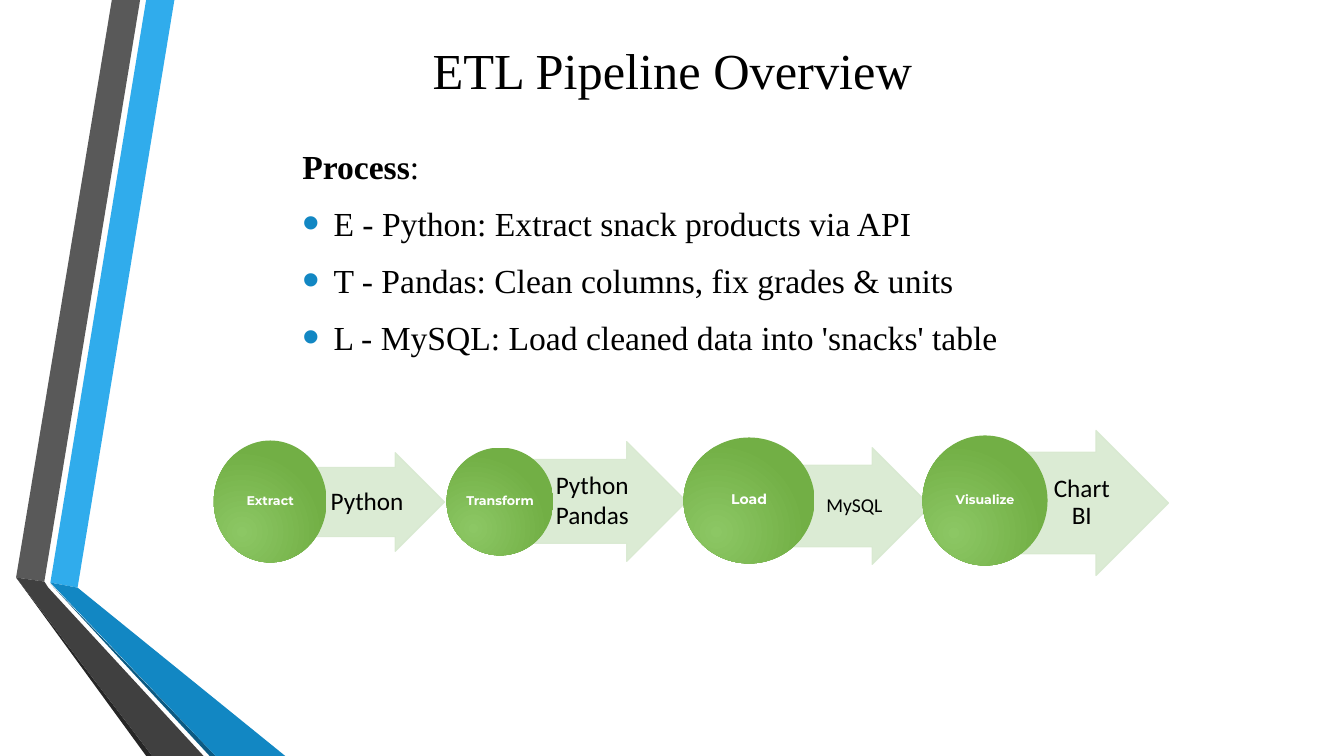
from lxml import etree
from pptx import Presentation
from pptx import util as u
from pptx.dml.color import RGBColor
from pptx.enum import shapes, text
from pptx.oxml.ns import qn

SERIF = "Times New Roman"
RIBBON = [
    ("30ACEC", [(0.5, 5.78), (0.77, 5.83), (1.73, 0), (1.45, 0)]),
    ("595959", [(1.39, 0), (1.11, 0), (0.16, 5.73), (0.44, 5.77)]),
    ("262626", [(0.16, 5.73), (1.45, 7.5), (1.51, 7.5)]),
    ("0C5A82", [(0.5, 5.79), (2.08, 7.5), (2.14, 7.5)]),
    ("1287C3", [(0.5, 5.78), (2.14, 7.5), (2.83, 7.5), (0.77, 5.83)]),
    ("404040", [(2.02, 7.5), (0.48, 5.83), (0.44, 5.77), (0.16, 5.73), (1.51, 7.5)]),
]
PROCESS = [
    "E - Python: Extract snack products via API",
    "T - Pandas: Clean columns, fix grades & units",
    "L - MySQL: Load cleaned data into 'snacks' table",
]
STAGES = [
    {"step": "Extract", "size": 9, "circle": (0, 0.1, 1.12, 1.21),
     "tools": ["Python"], "tool_size": 18, "arrow": (0.67, 0.22, 1.62, 0.98)},
    {"step": "Transform", "size": 9, "circle": (2.31, 0.17, 1.06, 1.07),
     "tools": ["Python", "Pandas"], "tool_size": 18, "arrow": (2.64, 0.11, 2.05, 1.19)},
    {"step": "Load", "size": 10, "circle": (4.66, 0.07, 1.3, 1.25),
     "tools": ["MySQL"], "tool_size": 14, "arrow": (5.61, 0.17, 1.5, 1.16)},
    {"step": "Visualize", "size": 9, "circle": (7.03, 0.05, 1.24, 1.29),
     "tools": ["Chart BI"], "tool_size": 18, "arrow": (7.82, 0, 1.65, 1.44)},
]


def rgb(value):
    return RGBColor.from_string(value)


def inches(box):
    return [u.Inches(length) for length in box]


def assign(target, values):
    for key, value in values.items():
        setattr(target, key, value)


def style(font, name, size, color="000000", bold=False):
    assign(font, {"name": name, "size": u.Pt(size), "bold": bold})
    font.color.rgb = rgb(color)


def set_frame(frame, left, top, right, bottom):
    assign(frame, {
        "word_wrap": True,
        "vertical_anchor": text.MSO_ANCHOR.MIDDLE,
        "margin_left": u.Inches(left), "margin_top": u.Inches(top),
        "margin_right": u.Inches(right), "margin_bottom": u.Inches(bottom),
    })


def add_bullet(paragraph, color, percent, indent):
    props = paragraph._p.get_or_add_pPr()
    props.set("marL", str(u.Inches(indent)))
    props.set("indent", str(-u.Inches(indent)))
    tint = etree.SubElement(props, qn("a:buClr"))
    etree.SubElement(tint, qn("a:srgbClr"), val=color)
    etree.SubElement(props, qn("a:buSzPct"), val=str(percent * 1000))
    etree.SubElement(props, qn("a:buFont"), typeface="Arial")
    etree.SubElement(props, qn("a:buChar"), char="•")


def draw_ribbon(slide, left, top):
    for color, corners in RIBBON:
        points = [inches((left + x, top + y)) for x, y in corners]
        builder = slide.shapes.build_freeform(*points[0])
        builder.add_line_segments(points[1:], close=True)
        band = builder.convert_to_shape()
        band.shadow.inherit = False
        band.fill.solid()
        band.fill.fore_color.rgb = rgb(color)
        band.line.fill.background()


def write_title(slide, box):
    title = slide.shapes.title
    assign(title, dict(zip(("left", "top", "width", "height"), inches(box))))
    title.text_frame.text = "ETL Pipeline Overview"
    set_frame(title.text_frame, 0.1, 0.05, 0.1, 0.05)
    heading = title.text_frame.paragraphs[0]
    heading.alignment = text.PP_ALIGN.CENTER
    style(heading.runs[0].font, SERIF, 36)


def write_process(slide, box):
    frame = slide.shapes.add_textbox(*inches(box)).text_frame
    set_frame(frame, 0.1, 0.05, 0.1, 0.05)
    heading = frame.paragraphs[0]
    for wording, bold in (("Process", True), (":", False)):
        run = heading.add_run()
        run.text = wording
        style(run.font, SERIF, 24, bold=bold)
    for step in PROCESS:
        item = frame.add_paragraph()
        item.space_before = u.Pt(12)
        add_bullet(item, "1287C3", 145, 0.31)
        run = item.add_run()
        run.text = step
        style(run.font, SERIF, 24)


def draw_arrow(slide, box):
    arrow = slide.shapes.add_shape(shapes.MSO_SHAPE.RIGHT_ARROW, *inches(box))
    arrow.shadow.inherit = False
    arrow.adjustments[0] = 0.7
    arrow.adjustments[1] = 0.5
    arrow.line.width = u.Pt(0.75)
    for fill in (arrow.fill, arrow.line.fill):
        fill.solid()
        fill.fore_color.rgb = rgb("D8E9D0")
    for color in arrow._element.spPr.iter(qn("a:srgbClr")):
        etree.SubElement(color, qn("a:alpha"), val="90000")


def write_tools(slide, arrow_box, tools, size):
    x, y, width, height = arrow_box
    label_box = (x + width / 4, y + 0.15 * height,
                 0.75 * width - 0.35 * height, 0.7 * height)
    frame = slide.shapes.add_textbox(*inches(label_box)).text_frame
    is_list = len(tools) > 1
    set_frame(frame, 0.24 if is_list else 0.05, 0.01, 0.03, 0.01)
    frame.text = "\n".join(tools)
    for index, tool in enumerate(frame.paragraphs):
        tool.alignment = text.PP_ALIGN.LEFT if is_list else text.PP_ALIGN.CENTER
        tool.line_spacing = 0.9
        if index:
            tool.space_before = u.Pt(2.5)
        style(tool.runs[0].font, "Calibri", size)


def draw_circle(slide, box, step, size):
    circle = slide.shapes.add_shape(shapes.MSO_SHAPE.OVAL, *inches(box))
    circle.shadow.inherit = False
    circle.line.fill.background()
    circle.fill.gradient()
    for stop, color in zip(circle.fill.gradient_stops, ("8CC764", "72AF45")):
        stop.color.rgb = rgb(color)
    gradient = circle._element.spPr.find(qn("a:gradFill"))
    radial = etree.Element(qn("a:path"), {"path": "circle"})
    etree.SubElement(radial, qn("a:fillToRect"),
                     l="50000", t="100000", r="100000", b="50000")
    gradient.replace(gradient.find(qn("a:lin")), radial)
    set_frame(circle.text_frame, 0.01, 0.01, 0.01, 0.01)
    circle.text_frame.text = step
    name = circle.text_frame.paragraphs[0]
    assign(name, {"alignment": text.PP_ALIGN.CENTER, "line_spacing": 0.9})
    style(name.runs[0].font, "Montserrat", size, "FFFFFF", True)


def draw_pipeline(slide, left, top):
    for stage in STAGES:
        arrow_box, circle_box = (
            (left + x, top + y, width, height)
            for x, y, width, height in (stage["arrow"], stage["circle"]))
        draw_arrow(slide, arrow_box)
        write_tools(slide, arrow_box, stage["tools"], stage["tool_size"])
        draw_circle(slide, circle_box, stage["step"], stage["size"])


def main():
    deck = Presentation()
    assign(deck, {"slide_width": u.Inches(13.33), "slide_height": u.Inches(7.5)})
    slide = deck.slides.add_slide(deck.slide_layouts[5])
    draw_ribbon(slide, 0, 0)
    write_title(slide, (3.96, 0.1, 5.42, 1.18))
    write_process(slide, (2.9, 1.31, 7.53, 2.37))
    draw_pipeline(slide, 2.12, 4.27)
    deck.save("out.pptx")


if __name__ == "__main__":
    main()
